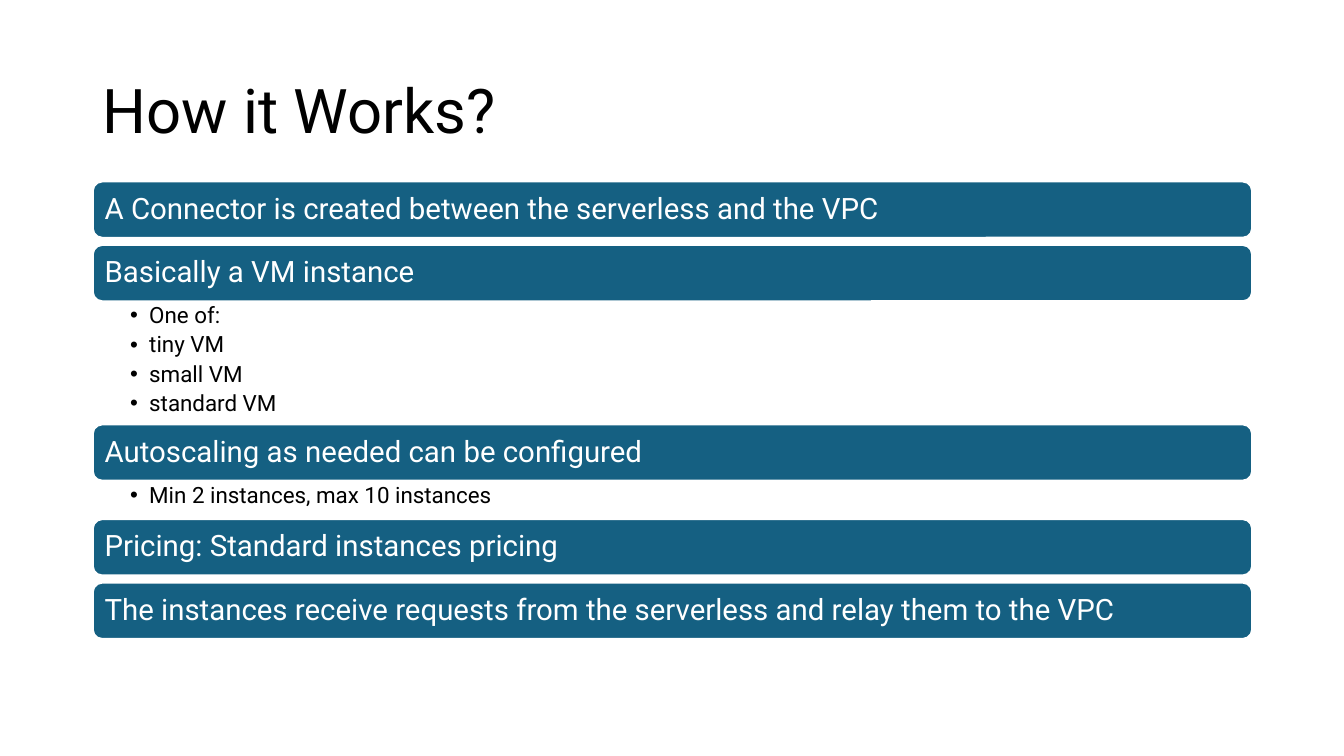
"""Build the "How it Works?" slide about the serverless connector."""
from dataclasses import dataclass

from lxml.etree import SubElement
from pptx import Presentation
from pptx.dml.color import RGBColor
from pptx.enum.shapes import MSO_SHAPE as Shape
from pptx.enum.text import MSO_ANCHOR as Anchor, PP_ALIGN as Align
from pptx.oxml.ns import qn
from pptx.slide import Slide
from pptx.util import Inches, Pt

COLORS = {"bar": "156082", "outline": "FFFFFF", "bar_text": "FFFFFF", "text": "000000"}
LEFT, WIDTH = 0.92, 11.5
FIRST_TOP, BAR_HEIGHT, BAR_GAP = 1.8, 0.56, 0.07
DETAIL_PADDING, DETAIL_LINE = 0.1, 0.28
HANGING = 0.19


@dataclass(frozen=True)
class Step:
    """A bar with the bullets listed under it."""

    heading: str
    details: tuple[str, ...] = ()

    @property
    def space_below(self) -> float:
        """Return the distance in inches from this bar to the next."""
        if not self.details:
            return BAR_GAP
        return DETAIL_PADDING + DETAIL_LINE * len(self.details)


STEPS = (
    Step("A Connector is created between the serverless and the VPC"),
    Step("Basically a VM instance", ("One of:", "tiny VM", "small VM", "standard VM")),
    Step("Autoscaling as needed can be configured", ("Min 2 instances, max 10 instances",)),
    Step("Pricing: Standard instances pricing"),
    Step("The instances receive requests from the serverless and relay them to the VPC"),
)


def color(name: str) -> RGBColor:
    """Return a named colour of the slide."""
    return RGBColor.from_string(COLORS[name])


def apply(target, formats: dict) -> None:
    """Set every attribute given in formats on target."""
    for attribute, value in formats.items():
        setattr(target, attribute, value)


def write(paragraph, words: str, size: int, color_name: str, space_after: float = 0) -> None:
    """Write and format one left-aligned paragraph."""
    paragraph.text = words
    apply(paragraph, {"alignment": Align.LEFT, "line_spacing": 0.9,
                      "space_before": Pt(0), "space_after": Pt(space_after)})
    apply(paragraph.font, {"name": "Roboto", "size": Pt(size)})
    paragraph.font.color.rgb = color(color_name)


def add_title(slide: Slide, words: str) -> None:
    """Place and format the title placeholder."""
    title = slide.shapes.title
    apply(title, {"left": Inches(LEFT), "top": Inches(0.4),
                  "width": Inches(WIDTH), "height": Inches(1.45)})
    title.text_frame.vertical_anchor = Anchor.MIDDLE
    write(title.text_frame.paragraphs[0], words, 44, "text")


def add_bar(slide: Slide, heading: str, top: float) -> None:
    """Draw one rounded bar with its heading."""
    bar = slide.shapes.add_shape(Shape.ROUNDED_RECTANGLE, Inches(LEFT), Inches(top),
                                 Inches(WIDTH), Inches(BAR_HEIGHT))
    bar.shadow.inherit = False
    bar.fill.solid()
    bar.fill.fore_color.rgb = color("bar")
    bar.line.color.rgb = color("outline")
    bar.line.width = Pt(1.5)
    apply(bar.text_frame, {"word_wrap": True, "vertical_anchor": Anchor.MIDDLE,
                           "margin_left": Inches(0.09), "margin_right": Inches(0.09),
                           "margin_top": Inches(0.09), "margin_bottom": Inches(0.09)})
    write(bar.text_frame.paragraphs[0], heading, 21, "bar_text")


def add_details(slide: Slide, details: tuple[str, ...], top: float, height: float) -> None:
    """Write the bullets under a bar."""
    frame = slide.shapes.add_textbox(Inches(LEFT), Inches(top),
                                     Inches(WIDTH), Inches(height)).text_frame
    apply(frame, {"word_wrap": True, "margin_left": Inches(0.37), "margin_right": Inches(0.16),
                  "margin_top": Inches(0.03), "margin_bottom": Inches(0.03)})
    for index, detail in enumerate(details):
        paragraph = frame.add_paragraph() if index else frame.paragraphs[0]
        properties = paragraph._p.get_or_add_pPr()
        properties.set("marL", str(Inches(HANGING)))
        properties.set("indent", str(-Inches(HANGING)))
        SubElement(properties, qn("a:buFont"), typeface="Arial")
        SubElement(properties, qn("a:buChar"), char="•")
        paragraph.level = 1
        write(paragraph, detail, 16, "text", space_after=3.6)


def main() -> None:
    """Build and save the slide."""
    deck = Presentation()
    apply(deck, {"slide_width": Inches(13.33), "slide_height": Inches(7.5)})
    slide = deck.slides.add_slide(deck.slide_layouts[5])
    add_title(slide, "How it Works?")
    top = FIRST_TOP
    for step in STEPS:
        add_bar(slide, step.heading, top)
        top += BAR_HEIGHT
        if step.details:
            add_details(slide, step.details, top, step.space_below)
        top += step.space_below
    deck.save("out.pptx")


if __name__ == "__main__":
    main()
